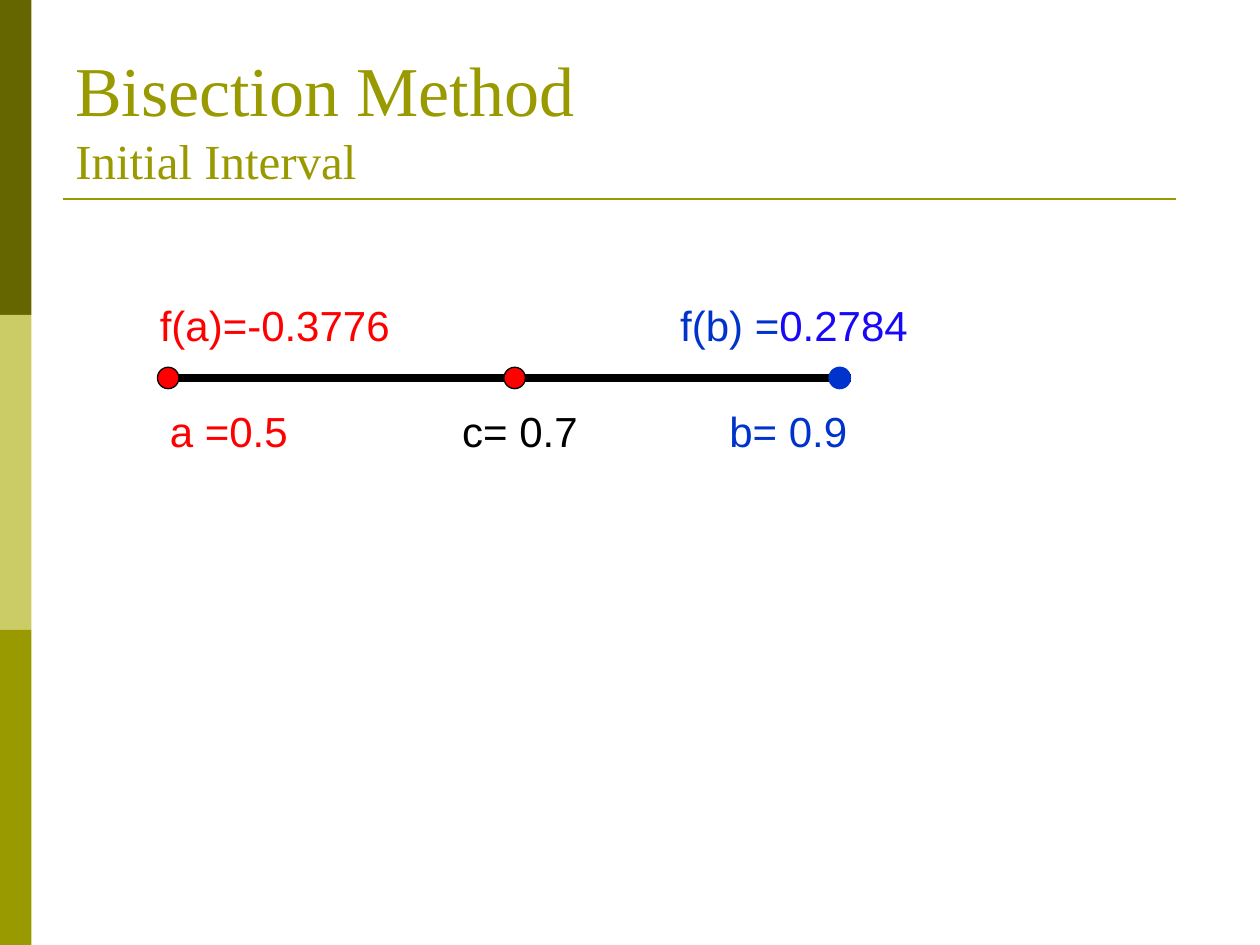
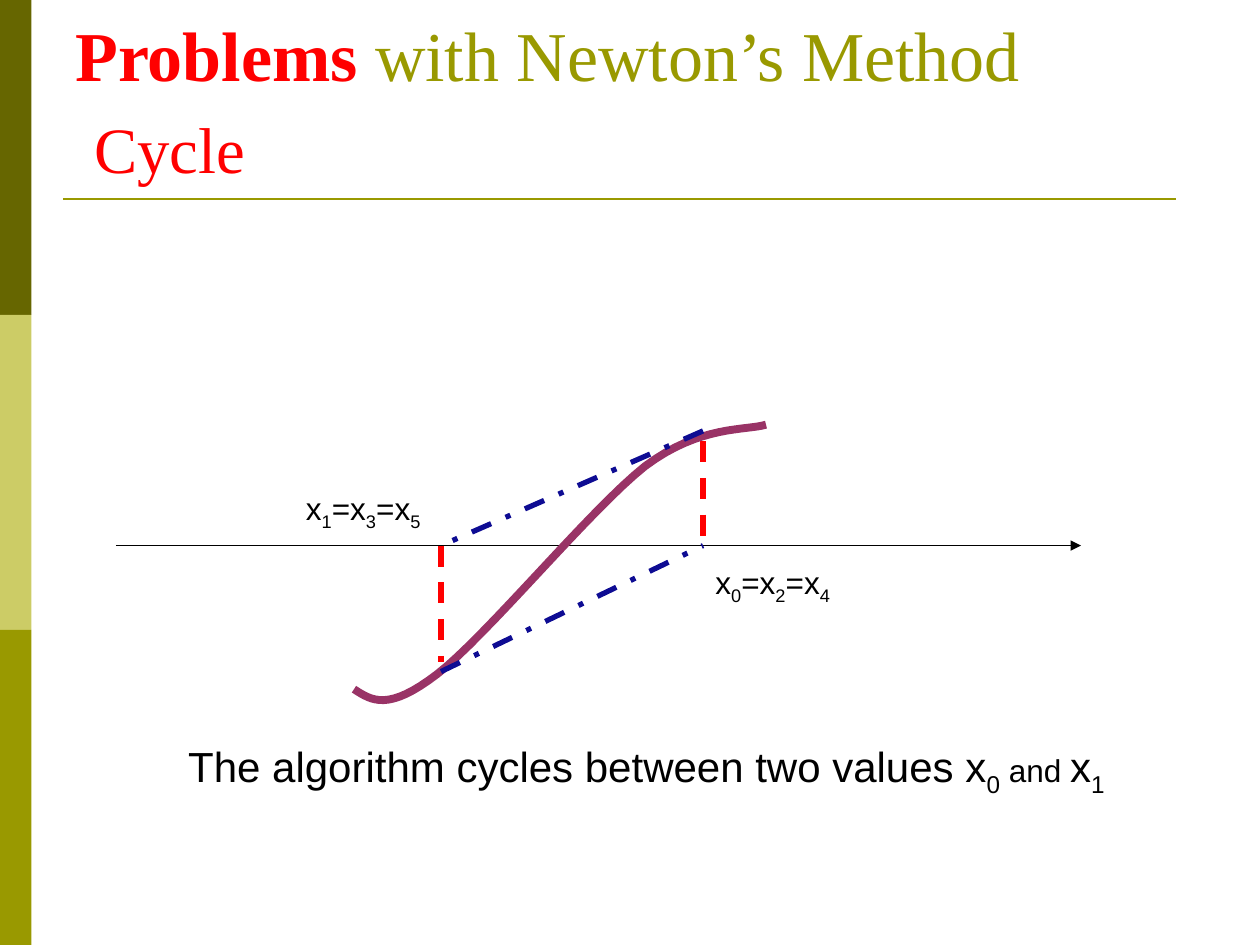
from lxml.etree import SubElement
from pptx import Presentation
from pptx.dml.color import RGBColor
from pptx.enum.dml import MSO_LINE
from pptx.enum.shapes import MSO_CONNECTOR, MSO_SHAPE
from pptx.enum.text import MSO_ANCHOR, PP_ALIGN
from pptx.oxml.ns import qn
from pptx.util import Inches, Pt

WIDTH, HEIGHT = 10, 7.5
SERIF, SANS = "Times New Roman", "Arial"
COLORS = {
    "dark olive": "666600", "light olive": "CCCC66", "olive": "999900",
    "red": "FF0000", "blue": "0033CC", "bright blue": "1908F8",
    "navy": "0E0C93", "plum": "993366", "black": "000000",
}
BANDS = ["dark olive", "light olive", "olive"]

# Text is a list of lines; a line is a list of (text, format) spans.
BISECTION_TITLE = [
    [("Bisection Method", {"size": 40})],
    [("Initial Interval", {"size": 28})],
]
NEWTON_TITLE = [
    [("Problems", {"size": 40, "color": "red", "bold": True}),
     (" with Newton’s Method", {"size": 40})],
    [("Cycle", {"size": 37, "color": "red"})],
]

# Interval labels: left, top, spans
INTERVAL_LABELS = [
    (1.17, 2.33, [("f(a)=-0.3776", {"color": "red"})]),
    (5.3, 2.33, [("f(b) =", {"color": "blue"}), ("0.2784", {"color": "bright blue"})]),
    (1.25, 3.17, [("a =0.5", {"color": "red"})]),
    (3.57, 3.17, [("c= 0.7", {})]),
    (5.69, 3.17, [("b= 0.9", {"color": "blue"})]),
]
INTERVAL_Y, DOT = 3, 0.17
INTERVAL_HALVES = [(4.08, 6.75), (1.33, 4)]
# Interval points: left, fill, outline
INTERVAL_POINTS = [(6.58, "blue", "blue"), (4, "red", "black"), (1.25, "red", "black")]

# Newton cycle between x1 (left) and x0 (right) on the axis
AXIS_Y, X1, X0 = 4.33, 3.5, 5.58
CURVE_START = (2.81, 5.47)
CURVE_BENDS = [
    [(2.95, 5.56), (3.08, 5.65), (3.47, 5.35)],
    [(3.85, 5.06), (4.69, 4.04), (5.12, 3.7)],
    [(5.56, 3.37), (5.92, 3.42), (6.08, 3.37)],
]
DROP = {"color": "red", "width": 3, "dash": MSO_LINE.DASH}
TANGENT = {"color": "navy", "width": 3, "dash": MSO_LINE.DASH_DOT}
# Iterates: left, top, indices
ITERATES = [(X0, 4.42, "024"), (2.33, 3.83, "135")]
SUBSCRIPT = {"subscript": True}
CONCLUSION = [
    ("The algorithm cycles between two values x", {}), ("0", SUBSCRIPT),
    (" and ", {"size": 18}), ("x", {}), ("1", SUBSCRIPT),
]


def rgb(name):
    return RGBColor.from_string(COLORS[name])


def add_text(slide, left, top, width, height, lines, **defaults):
    box = slide.shapes.add_textbox(*map(Inches, (left, top, width, height)))
    frame = box.text_frame
    frame.word_wrap = True
    for index, spans in enumerate(lines):
        para = frame.add_paragraph() if index else frame.paragraphs[0]
        for text, changes in spans:
            style = {"name": SANS, "size": 24, "color": "black"} | defaults | changes
            span = para.add_run()
            span.text = text
            span.font.color.rgb = rgb(style.pop("color"))
            if style.pop("subscript", False):
                span._r.get_or_add_rPr().set("baseline", "-25000")
            style["size"] = Pt(style["size"])
            for key, value in style.items():
                setattr(span.font, key, value)
    return frame


def style_line(line, color, width, dash=None):
    line.color.rgb = rgb(color)
    line.width = Pt(width)
    if dash:
        line.dash_style = dash


def add_line(slide, start, end, color, width, dash=None, arrow=False):
    line = slide.shapes.add_connector(
        MSO_CONNECTOR.STRAIGHT, *map(Inches, (*start, *end)))
    style_line(line.line, color, width, dash)
    if arrow:
        SubElement(line.line._get_or_add_ln(), qn("a:tailEnd"), type="triangle")
    SubElement(line._element.spPr, qn("a:effectLst"))


def add_filled(slide, kind, left, top, width, height, fill, outline=None):
    shape = slide.shapes.add_shape(kind, *map(Inches, (left, top, width, height)))
    shape.shadow.inherit = False
    shape.fill.solid()
    shape.fill.fore_color.rgb = rgb(fill)
    if outline:
        style_line(shape.line, outline, 0.75)
    else:
        shape.line.fill.background()


def add_curve(slide, start, bends, color, width, steps=16):
    """Draw joined cubic Bezier bends as one open outline."""
    points, here = [], start
    for bend in bends:
        controls = [here, *bend]
        for step in range(1, steps + 1):
            t = step / steps
            weights = ((1 - t) ** 3, 3 * t * (1 - t) ** 2, 3 * t * t * (1 - t), t ** 3)
            points.append(tuple(
                Inches(sum(w * c[axis] for w, c in zip(weights, controls)))
                for axis in (0, 1)))
        here = bend[-1]
    builder = slide.shapes.build_freeform(*map(Inches, start))
    builder.add_line_segments(points, close=False)
    curve = builder.convert_to_shape()
    curve.shadow.inherit = False
    curve.fill.background()
    style_line(curve.line, color, width)


def add_page(deck, title):
    """Add a slide with side bands, title rule and title; return it and its title."""
    page = deck.slides.add_slide(deck.slide_layouts[6])
    band = HEIGHT / len(BANDS)
    for row, color in enumerate(BANDS):
        add_filled(page, MSO_SHAPE.RECTANGLE, 0, row * band, 0.25, band, color)
    add_line(page, (0.5, 1.58), (9.33, 1.58), "olive", 1.5)
    frame = add_text(page, 0.5, 0.3, 9, 1.25, title, name=SERIF, color="olive")
    frame.vertical_anchor = MSO_ANCHOR.BOTTOM
    return page, frame


def build_bisection(deck):
    page, _ = add_page(deck, BISECTION_TITLE)
    for left, top, spans in INTERVAL_LABELS:
        add_text(page, left, top, 2.8, 0.5, [spans])
    for start, end in INTERVAL_HALVES:
        add_line(page, (start, INTERVAL_Y), (end, INTERVAL_Y), "black", 4.5)
    for left, fill, outline in INTERVAL_POINTS:
        add_filled(page, MSO_SHAPE.OVAL, left, INTERVAL_Y - DOT / 2, DOT, DOT, fill, outline)


def build_newton(deck):
    page, title = add_page(deck, NEWTON_TITLE)
    cycle = title.paragraphs[1]
    cycle.space_before = Pt(7.5)
    cycle._p.get_or_add_pPr().set("marL", str(Inches(0.15)))
    title.margin_bottom = Inches(0.07)
    conclusion = add_text(page, 0.92, 5.83, 8.42, 0.56, [CONCLUSION])
    conclusion.paragraphs[0].alignment = PP_ALIGN.CENTER

    add_line(page, (0.92, AXIS_Y), (8.58, AXIS_Y), "black", 0.75, arrow=True)
    add_line(page, (X0, 3.5), (X0, AXIS_Y), **DROP)
    add_curve(page, CURVE_START, CURVE_BENDS, "plum", 4.5)
    add_line(page, (X0, 3.42), (X1, AXIS_Y), **TANGENT)
    add_line(page, (X1, AXIS_Y), (X1, 5.25), **DROP)
    add_line(page, (X1, 5.33), (X0, AXIS_Y), **TANGENT)
    for left, top, indices in ITERATES:
        spans = []
        for index in indices:
            spans += [("=x" if spans else "x", {}), (index, SUBSCRIPT)]
        add_text(page, left, top, 1.33, 0.44, [spans], size=18)


def main():
    deck = Presentation()
    deck.slide_width, deck.slide_height = Inches(WIDTH), Inches(HEIGHT)
    build_bisection(deck)
    build_newton(deck)
    deck.save("out.pptx")


if __name__ == "__main__":
    main()
